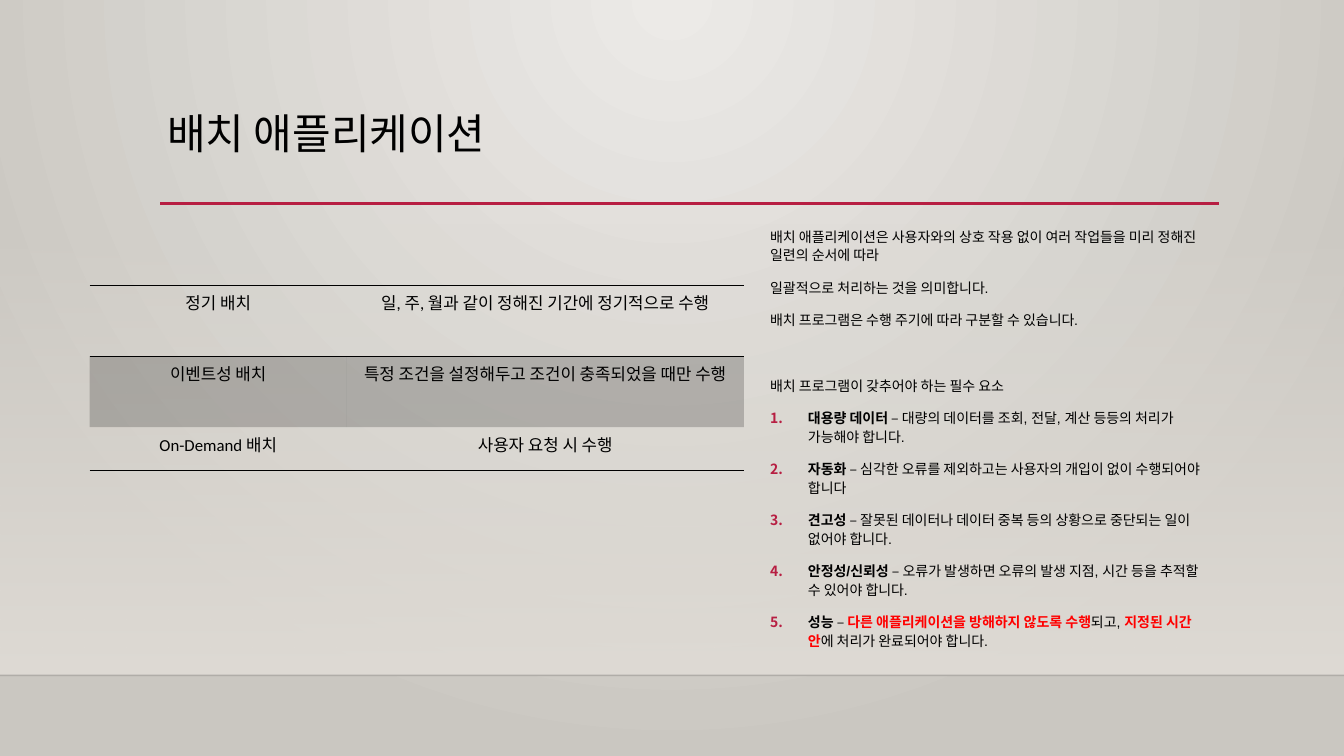
from lxml import etree
from pptx import Presentation
from pptx.dml.color import RGBColor
from pptx.enum.shapes import MSO_CONNECTOR, MSO_SHAPE
from pptx.enum.text import MSO_ANCHOR, MSO_AUTO_SIZE, PP_ALIGN
from pptx.oxml.ns import qn
from pptx.util import Pt

STRAIGHT = MSO_CONNECTOR.STRAIGHT
RECTANGLE = MSO_SHAPE.RECTANGLE
TOP, MIDDLE = MSO_ANCHOR.TOP, MSO_ANCHOR.MIDDLE
NO_AUTOFIT = MSO_AUTO_SIZE.NONE
LEFT, CENTER = PP_ALIGN.LEFT, PP_ALIGN.CENTER

BLACK = RGBColor(0x00, 0x00, 0x00)
RED = RGBColor(0xFF, 0x00, 0x00)
CRIMSON = RGBColor(0xB7, 0x1E, 0x42)
LIGHT = RGBColor(0xEC, 0xEA, 0xE7)
DARK = RGBColor(0xCA, 0xC7, 0xC1)
SAND = RGBColor(0xDF, 0xDB, 0xD5)

PLAIN_TABLE_STYLE = "{2D5ABB26-0587-4C30-8999-92F81FD0307C}"
PAGE_WIDTH, PAGE_HEIGHT = 960, 540
FLOOR = 482.4


def add_child(parent, tag, **attributes):
    return etree.SubElement(parent, qn(tag), attributes)


def set_opacity(element, percent):
    color = next(element.iter(qn("a:srgbClr")))
    add_child(color, "a:alpha", val=str(percent * 1000))


deck = Presentation()
deck.slide_width, deck.slide_height = Pt(PAGE_WIDTH), Pt(PAGE_HEIGHT)
page = deck.slides.add_slide(deck.slide_layouts[1])
title, body = page.placeholders

backdrop = page.background.fill
backdrop.gradient()
for stop, color in zip(backdrop.gradient_stops, (LIGHT, DARK)):
    stop.color.rgb = color
linear = next(page.element.iter(qn("a:lin")))
gradient = linear.getparent()
gradient.remove(linear)
circle = add_child(gradient, "a:path", path="circle")
add_child(circle, "a:fillToRect", l="43000", t="0", r="43000", b="100000")

wall = page.shapes.add_shape(RECTANGLE, 0, Pt(159), Pt(PAGE_WIDTH), Pt(FLOOR - 159))
wall.shadow.inherit = False
wall.line.fill.background()
wall.fill.gradient()
wall.fill.gradient_angle = 270
for stop in wall.fill.gradient_stops:
    stop.color.rgb = SAND
set_opacity(wall.element, 0)

for start, end, height, color, width, opacity in (
    (0, PAGE_WIDTH, FLOOR, BLACK, 1, 20),
    (114.4, 871, 145.4, CRIMSON, 2.5, 100),
):
    rule = page.shapes.add_connector(STRAIGHT, Pt(start), Pt(height), Pt(end), Pt(height))
    rule.line.color.rgb = color
    rule.line.width = Pt(width)
    set_opacity(rule.element, opacity)
    add_child(rule.element.spPr, "a:effectLst")

for box, left, top, width, height, anchor in (
    (title, 112.3, 72.7, 463.7, 44, MIDDLE),
    (body, 542.9, 158.4, 327.6, 308.9, TOP),
):
    page.shapes.element.append(box.element)
    box.left, box.top, box.width, box.height = Pt(left), Pt(top), Pt(width), Pt(height)
    box.text_frame.auto_size = NO_AUTOFIT
    box.text_frame.vertical_anchor = anchor
    box.text_frame.word_wrap = True

title.text_frame.text = "배치 애플리케이션"
heading = title.text_frame.paragraphs[0]
heading.alignment = LEFT
heading.font.size = Pt(30)
heading.font.name = "Calibri"
heading.font.color.rgb = BLACK

introduction = [
    ("배치 애플리케이션은 사용자와의 상호 작용 없이 여러 작업들을 미리 정해진 일련의 순서에 따라", 10),
    ("일괄적으로 처리하는 것을 의미합니다.", 10),
    ("배치 프로그램은 수행 주기에 따라 구분할 수 있습니다.", 10),
    ("배치 프로그램이 갖추어야 하는 필수 요소", 33.5),
]
requirements = [
    [("대용량 데이터 ", BLACK), ("– 대량의 데이터를 조회, 전달, 계산 등등의 처리가 가능해야 합니다.", None)],
    [("자동화 ", BLACK), ("– 심각한 오류를 제외하고는 사용자의 개입이 없이 수행되어야 합니다", None)],
    [("견고성 ", BLACK), ("– 잘못된 데이터나 데이터 중복 등의 상황으로 중단되는 일이 없어야 합니다.", None)],
    [("안정성/신뢰성 ", BLACK), ("– 오류가 발생하면 오류의 발생 지점, 시간 등을 추적할 수 있어야 합니다.", None)],
    [
        ("성능 ", BLACK),
        ("– ", None),
        ("다른 애플리케이션을 방해하지 않도록 수행", RED),
        ("되고, ", None),
        ("지정된 시간 안", RED),
        ("에 처리가 완료되어야 합니다.", None),
    ],
]
entries = [([(text, None)], gap, False) for text, gap in introduction]
entries += [(spans, 10, True) for spans in requirements]

for index, (spans, gap, numbered) in enumerate(entries):
    frame = body.text_frame
    para = frame.add_paragraph() if index else frame.paragraphs[0]
    para.line_spacing = 1.1
    para.space_before = Pt(gap)
    properties = para._p.get_or_add_pPr()
    indent = Pt(27) if numbered else 0
    properties.set("marL", str(indent))
    properties.set("indent", str(-indent))
    if numbered:
        bullet_color = add_child(properties, "a:buClr")
        add_child(bullet_color, "a:srgbClr", val=str(CRIMSON))
        add_child(properties, "a:buFont", typeface="+mj-lt")
        add_child(properties, "a:buAutoNum", type="arabicPeriod")
    else:
        add_child(properties, "a:buNone")
    para.font.size = Pt(10)
    para.font.name = "Arial"
    para.font.color.rgb = BLACK
    for text, emphasis in spans:
        span = para.add_run()
        span.text = text
        if emphasis is not None:
            span.font.bold = True
            span.font.color.rgb = emphasis

batch_types = [
    ("정기 배치", "일, 주, 월과 같이 정해진 기간에 정기적으로 수행"),
    ("이벤트성 배치", "특정 조건을 설정해두고 조건이 충족되었을 때만 수행"),
    ("On-Demand 배치", "사용자 요청 시 수행"),
]
row_heights = (50.6, 50.6, 31)
column_widths = (183.6, 283.7)
row_borders = (("a:lnT", "a:lnB"), (), ("a:lnB",))

table_frame = page.shapes.add_table(
    len(batch_types), 2, Pt(64.1), Pt(203.8), Pt(sum(column_widths)), Pt(sum(row_heights))
)
table = table_frame.table
table.first_row = False
table.horz_banding = False
next(table_frame.element.iter(qn("a:tableStyleId"))).text = PLAIN_TABLE_STYLE
for column, width in zip(table.columns, column_widths):
    column.width = Pt(width)

for row_index, (row, height) in enumerate(zip(table.rows, row_heights)):
    row.height = Pt(height)
    for cell, text in zip(row.cells, batch_types[row_index]):
        cell.text = text
        para = cell.text_frame.paragraphs[0]
        para.alignment = CENTER
        para.font.size = Pt(12)
        para.font.name = "Calibri"
        para.font.color.rgb = BLACK
        properties = cell._tc.get_or_add_tcPr()
        for border in row_borders[row_index]:
            edge = add_child(properties, border, w=str(Pt(1)))
            edge_fill = add_child(edge, "a:solidFill")
            add_child(edge_fill, "a:srgbClr", val=str(BLACK))
        if row_index == 1:
            cell.fill.solid()
            cell.fill.fore_color.rgb = BLACK
            set_opacity(properties, 20)
        else:
            cell.fill.background()

deck.save("out.pptx")
